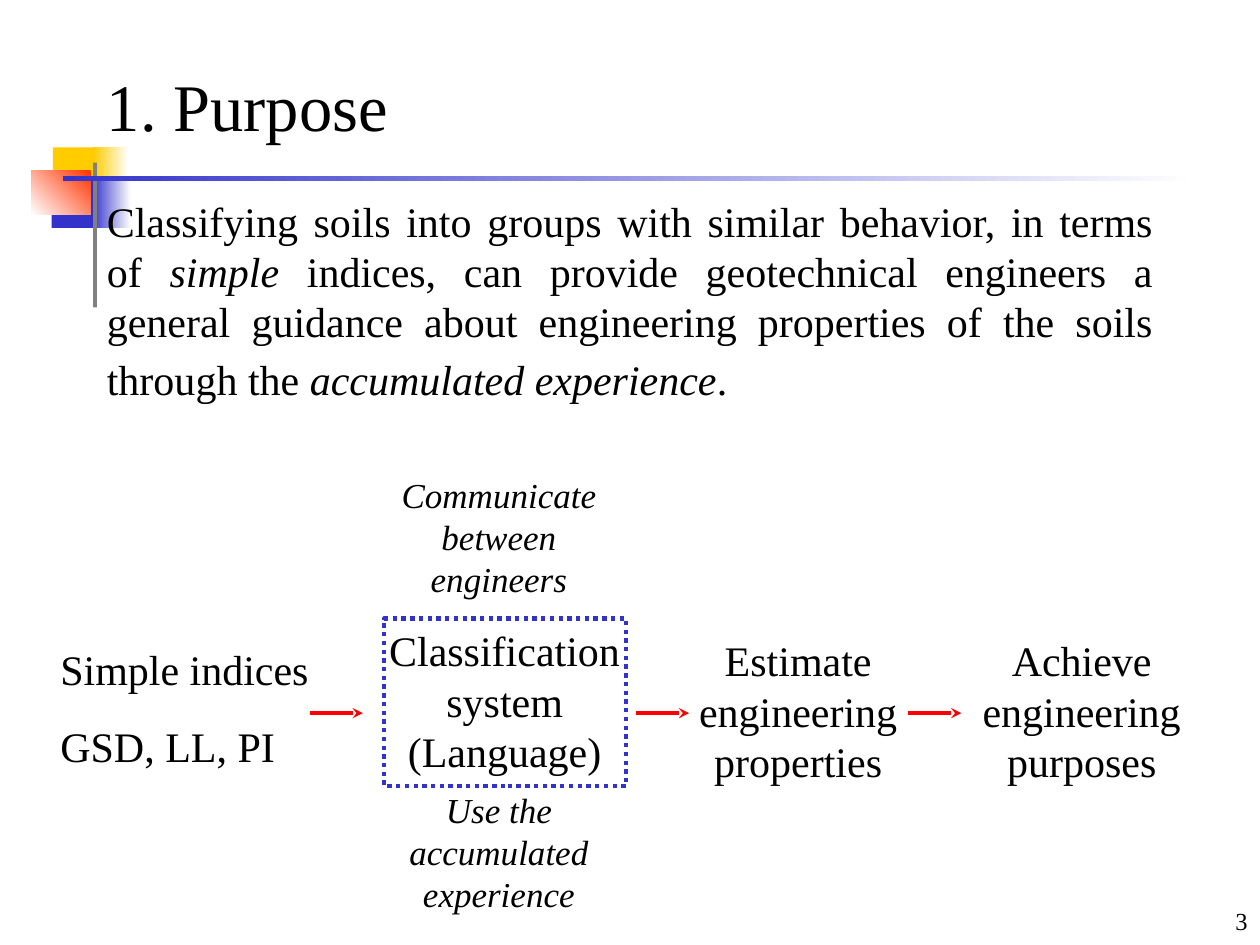
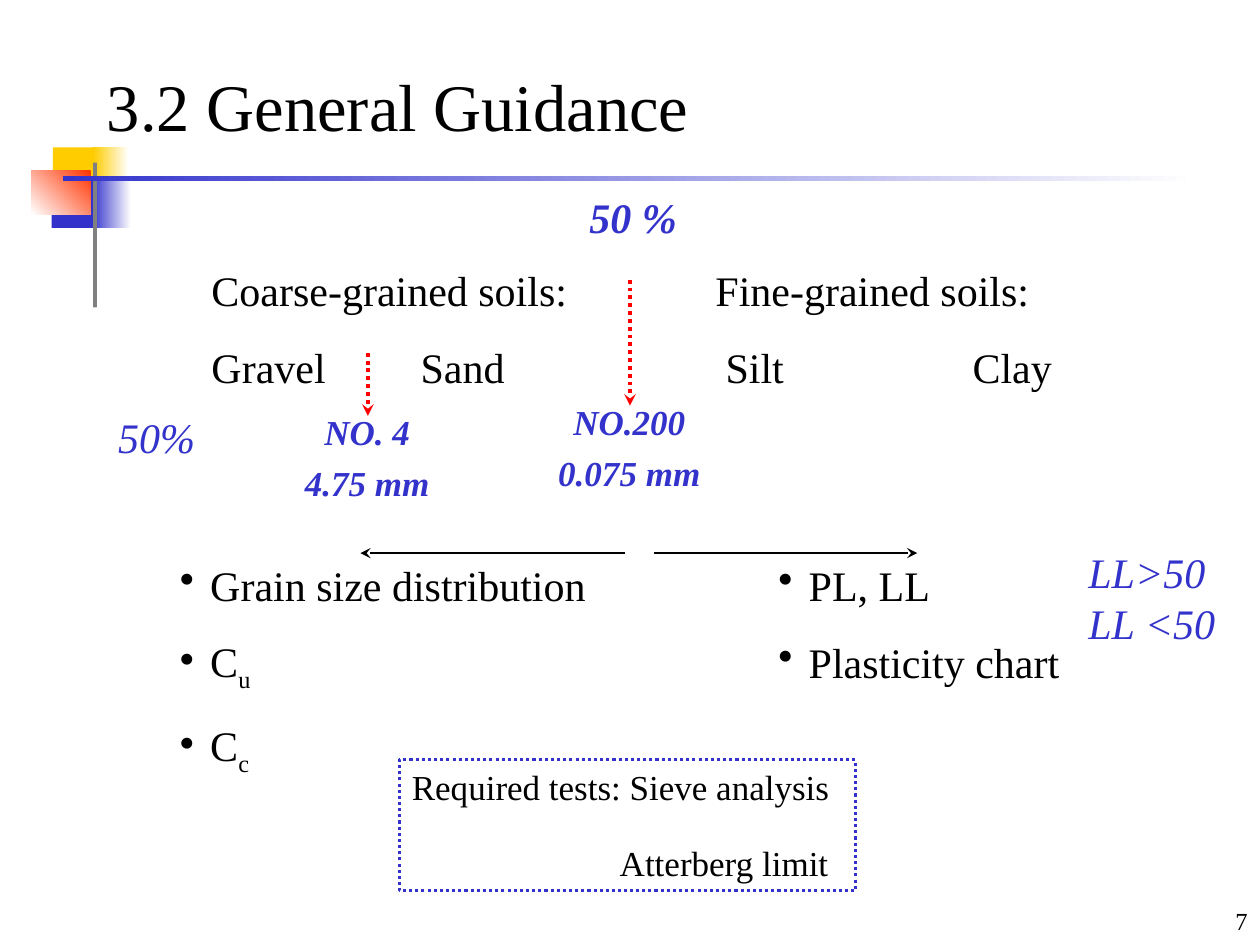
from lxml import etree
from pptx import Presentation
from pptx.dml.color import RGBColor
from pptx.enum.dml import MSO_LINE
from pptx.enum.shapes import MSO_CONNECTOR, MSO_SHAPE
from pptx.enum.text import MSO_ANCHOR, PP_ALIGN
from pptx.oxml.ns import qn
from pptx.util import Inches, Pt

FONT = "Times New Roman"
BLACK = RGBColor(0x00, 0x00, 0x00)
WHITE = RGBColor(0xFF, 0xFF, 0xFF)
BLUE = RGBColor(0x33, 0x33, 0xCC)
YELLOW = RGBColor(0xFF, 0xCC, 0x00)
ORANGE = RGBColor(0xFF, 0x33, 0x00)
GRAY = RGBColor(0x80, 0x80, 0x80)
RED = RGBColor(0xFF, 0x00, 0x00)


def add_block(page, area, colors, angle=180):
    """Add a borderless rectangle filled with one colour or a two-colour gradient."""
    block = page.shapes.add_shape(MSO_SHAPE.RECTANGLE, *map(Inches, area))
    block.shadow.inherit = False
    block.line.fill.background()
    if len(colors) == 1:
        block.fill.solid()
        block.fill.fore_color.rgb = colors[0]
    else:
        block.fill.gradient()
        block.fill.gradient_angle = angle
        for stop, color in zip(block.fill.gradient_stops, colors):
            stop.color.rgb = color


def add_dotted_frame(page, area, width):
    """Add an unfilled rectangle with a dotted blue outline."""
    frame = page.shapes.add_shape(MSO_SHAPE.RECTANGLE, *map(Inches, area))
    frame.shadow.inherit = False
    frame.fill.background()
    frame.line.color.rgb = BLUE
    frame.line.width = Pt(width)
    frame.line.dash_style = MSO_LINE.ROUND_DOT
    return frame


def add_arrow(page, start, end, color, width, dotted=False):
    """Add a straight arrow with a stealth head at its end."""
    arrow = page.shapes.add_connector(
        MSO_CONNECTOR.STRAIGHT, *map(Inches, (*start, *end)))
    arrow.line.color.rgb = color
    arrow.line.width = Pt(width)
    if dotted:
        arrow.line.dash_style = MSO_LINE.ROUND_DOT
    outline = arrow.line._get_or_add_ln()
    etree.SubElement(outline, qn("a:tailEnd"), type="stealth")
    etree.SubElement(arrow._element.spPr, qn("a:effectLst"))


def write_text(box, paragraphs, size=24, color=BLACK, bold=False, italic=False,
               align=PP_ALIGN.LEFT, before=15, spacing=None):
    """Fill a shape with paragraphs, each a string or a list of (text, style) spans."""
    frame = box.text_frame
    frame.word_wrap = True
    frame.vertical_anchor = MSO_ANCHOR.TOP
    for index, spans in enumerate(paragraphs):
        para = frame.paragraphs[0] if index == 0 else frame.add_paragraph()
        para.alignment = align
        para.space_before = Pt(before)
        para.line_spacing = spacing
        for text, style in [(spans, {})] if isinstance(spans, str) else spans:
            span = para.add_run()
            span.text = text
            span.font.name = FONT
            span.font.size = Pt(style.get("size", size))
            span.font.color.rgb = color
            span.font.bold = bold
            span.font.italic = style.get("italic", italic)
            if "baseline" in style:
                span.font._element.set("baseline", str(style["baseline"] * 1000))
    return frame


def add_text(page, area, *paragraphs, **style):
    """Add a wrapping text box and return its text frame."""
    box = page.shapes.add_textbox(*map(Inches, area))
    return write_text(box, paragraphs, **style)


def set_tabs(para, *stops):
    """Give a paragraph left tab stops, in inches."""
    tabs = etree.SubElement(para._p.get_or_add_pPr(), qn("a:tabLst"))
    for stop in stops:
        etree.SubElement(tabs, qn("a:tab"), pos=str(Inches(stop)), algn="l")


def add_bullets(page, area, *items):
    """Add a bulleted list with a hanging indent."""
    for para in add_text(page, area, *items).paragraphs:
        properties = para._p.get_or_add_pPr()
        properties.set("marL", str(Inches(0.24)))
        properties.set("indent", str(-Inches(0.24)))
        etree.SubElement(properties, qn("a:buChar"), char="•")


def add_page(deck, title, number):
    """Add a blank slide with the shared ornament, title and page number."""
    page = deck.slides.add_slide(deck.slide_layouts[6])
    add_block(page, (0.42, 1.17, 0.37, 0.4), [YELLOW])
    add_block(page, (0.74, 1.17, 0.28, 0.4), [WHITE, YELLOW])
    add_block(page, (0.41, 1.41, 0.35, 0.4), [BLUE])
    add_block(page, (0.73, 1.41, 0.31, 0.4), [WHITE, BLUE])
    add_block(page, (0.25, 1.35, 0.47, 0.35), [ORANGE, WHITE], angle=225)
    add_block(page, (0.74, 1.29, 0.03, 1.15), [GRAY])
    add_block(page, (0.5, 1.4, 9, 0.04), [WHITE, BLUE])
    heading = add_text(page, (0.75, 0.33, 8.5, 1), title, size=38, before=0)
    heading.vertical_anchor = MSO_ANCHOR.MIDDLE
    add_text(page, (9.55, 7.14, 0.45, 0.28), str(number), size=14, before=0,
             align=PP_ALIGN.RIGHT)
    return page


def build_purpose(deck):
    """Build the slide with the flow from simple indices to purposes."""
    page = add_page(deck, "1. Purpose", 3)
    add_text(page, (0.75, 1.5, 8.5, 1.8), [
        ("Classifying soils into groups with similar behavior, in terms of ", {}),
        ("simple", {"italic": True}),
        (" indices, can provide geotechnical engineers a general guidance about "
         "engineering properties of the soils through the ", {}),
        ("accumulated experience", {"italic": True}),
        (".", {}),
        (" ", {"size": 28}),
    ], align=PP_ALIGN.JUSTIFY, before=7)

    add_text(page, (0.38, 5.06, 2.25, 1.11), "Simple indices", "GSD, LL, PI")
    for left, top, step in ((2.88, 4.91, "Classification system (Language)"),
                            (5.21, 4.99, "Estimate engineering properties"),
                            (7.46, 4.99, "Achieve engineering purposes")):
        add_text(page, (left, top, 2.25, 1.3), step, align=PP_ALIGN.CENTER)
    for left in (2.46, 5.05, 7.21):
        add_arrow(page, (left, 5.66), (left + 0.42, 5.66), RED, 2)
    add_dotted_frame(page, (3.05, 4.91, 1.92, 1.33), 2.5)
    for top, remark in ((3.71, "Communicate between engineers"),
                        (6.21, "Use the accumulated experience")):
        add_text(page, (2.96, top, 2, 1.1), remark, size=20, italic=True,
                 align=PP_ALIGN.CENTER, before=12.5)


def build_guidance(deck):
    """Build the slide that splits coarse-grained from fine-grained soils."""
    page = add_page(deck, "3.2 General Guidance", 7)
    coarse = add_text(page, (1.58, 2.05, 3.58, 1.11),
                      "Coarse-grained soils:", "Gravel\tSand")
    set_tabs(coarse.paragraphs[1], 1.66)
    fine = add_text(page, (5.58, 2.05, 3.58, 1.11),
                    "Fine-grained soils:", "\tSilt\tClay")
    set_tabs(fine.paragraphs[1], 0.08, 2.04)

    for center, top, bottom, sieve, opening in (
            (5, 2.22, 3.22, "NO.200", "0.075 mm"),
            (2.92, 2.8, 3.3, "NO. 4", "4.75 mm")):
        add_arrow(page, (center, top), (center, bottom), RED, 2.25, dotted=True)
        add_text(page, (center - 0.67, bottom, 1.33, 0.74), sieve, opening,
                 size=20, color=BLUE, bold=True, italic=True,
                 align=PP_ALIGN.CENTER, before=12.5, spacing=0.7)

    for start, end in ((4.96, 2.86), (5.19, 7.28)):
        add_arrow(page, (start, 4.39), (end, 4.39), BLACK, 1.5)
    add_bullets(page, (1.33, 4.39, 3.42, 1.83), "Grain size distribution",
                *[[("C", {}), (index, {"baseline": -25})] for index in "uc"])
    add_bullets(page, (6.08, 4.39, 2.67, 1.11), "PL, LL", "Plasticity chart")

    add_text(page, (4.58, 1.47, 1, 0.5), "50 %", color=BLUE, bold=True, italic=True)
    add_text(page, (8.54, 4.29, 1.46, 0.9), "LL>50 LL <50", color=BLUE, italic=True)
    add_text(page, (0.84, 3.22, 1.46, 0.5), "50%", color=BLUE, italic=True)

    tests = write_text(add_dotted_frame(page, (3.17, 6.03, 3.62, 1.04), 1.75),
                       ["Required tests: Sieve analysis", "\tAtterberg limit"],
                       size=20, before=12.5)
    tests.paragraphs[1].space_before = Pt(19)
    set_tabs(tests.paragraphs[1], 1.65)


def main():
    """Build and save the deck."""
    deck = Presentation()
    deck.slide_width, deck.slide_height = Inches(10), Inches(7.5)
    build_purpose(deck)
    build_guidance(deck)
    deck.save("out.pptx")


if __name__ == "__main__":
    main()
